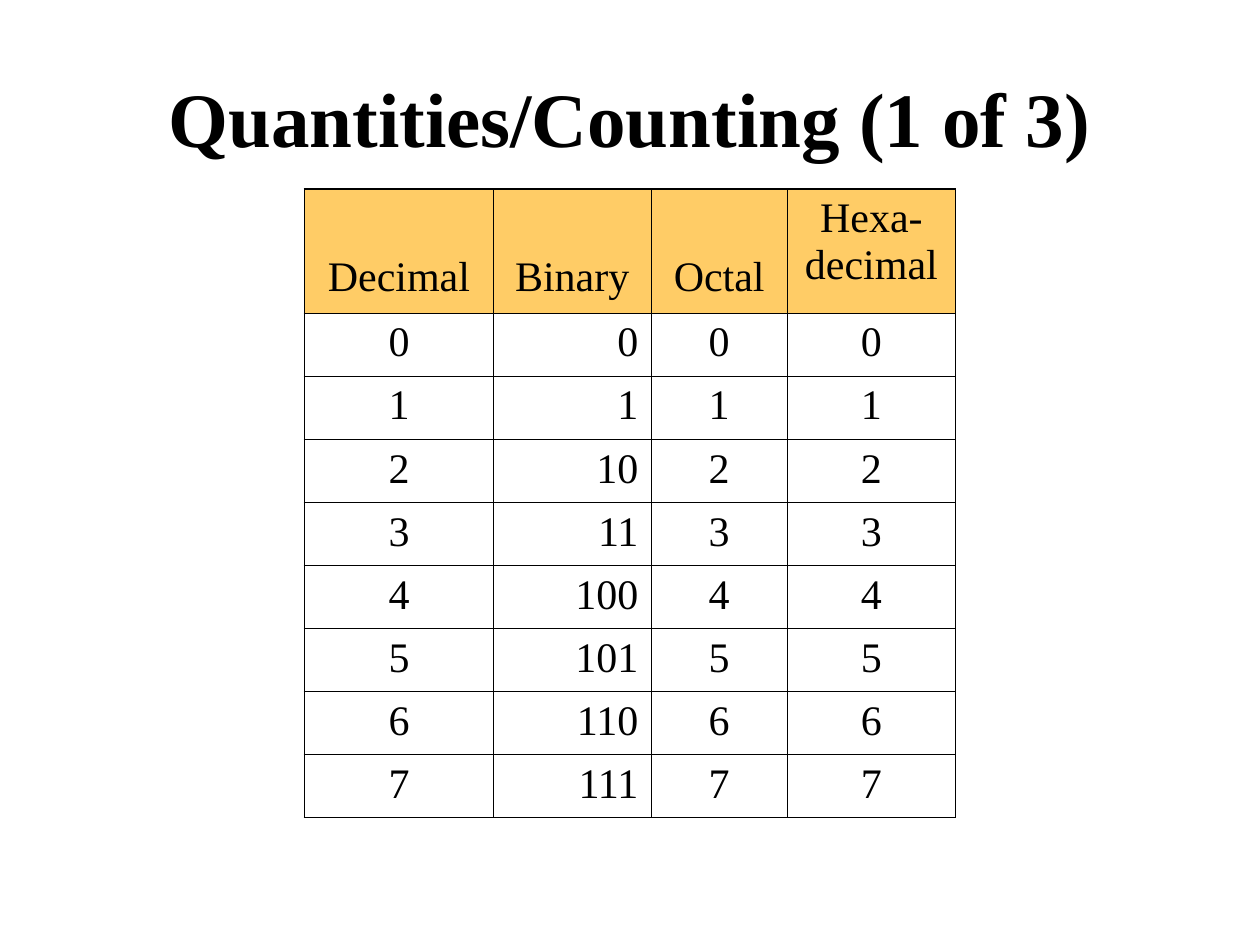
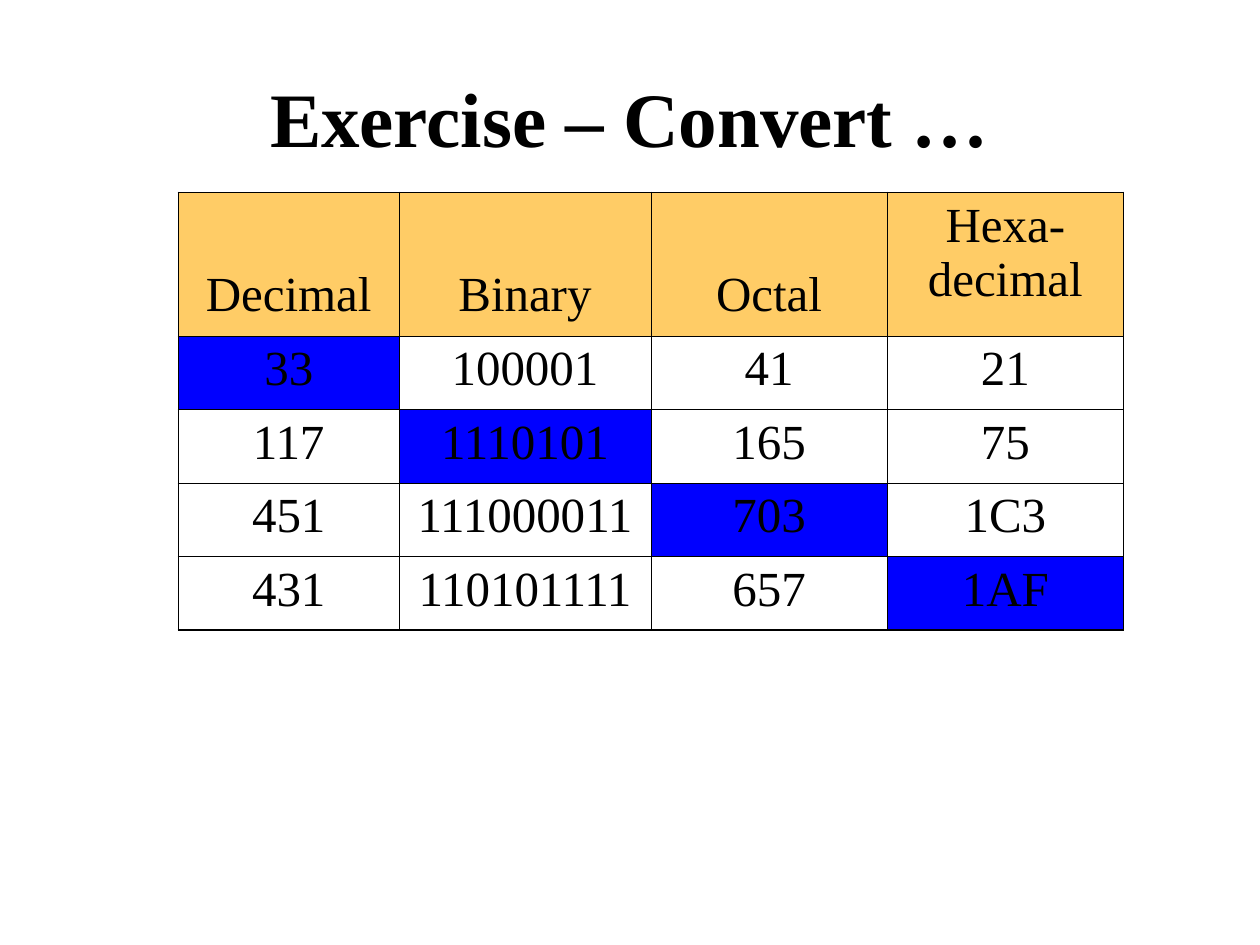
"""Two slides of number tables in decimal, binary, octal and hexadecimal."""
from lxml import etree
from pptx import Presentation
from pptx.dml.color import RGBColor
from pptx.enum.text import MSO_ANCHOR, PP_ALIGN
from pptx.oxml.ns import qn
from pptx.util import Pt

CENTER, RIGHT = PP_ALIGN.CENTER, PP_ALIGN.RIGHT
MIDDLE = MSO_ANCHOR.MIDDLE

FONT = "Times New Roman"
BLACK, GOLD, BLUE = "000000", "FFCC66", "0000FF"
THIN, THICK = 0.45, 1.08
INSET = 3.6
LINE_HEIGHT = 1.15
TITLE_BOX = (36, 21.6, 648, 90)
BASES = ("Decimal", "Binary", "Octal", "Hexa-\vdecimal")
FORMATS = ("d", "b", "o", "X")


def color(value):
    """Turn a hex string into a colour."""
    return RGBColor.from_string(value)


def write(frame, text, *, size, bold=False, align=CENTER):
    """Put one formatted paragraph into a text frame."""
    para = frame.paragraphs[0]
    para.text = text
    para.alignment = align
    for span in para.runs:
        span.font.name = FONT
        span.font.size = Pt(size)
        span.font.bold = bold
        span.font.color.rgb = color(BLACK)


def add_title(page, text, box):
    """Add the bold slide title, centred in its box."""
    frame = page.shapes.add_textbox(*map(Pt, box)).text_frame
    frame.word_wrap = True
    frame.vertical_anchor = MIDDLE
    write(frame, text, size=44, bold=True)


def set_border(cell, side, width):
    """Draw one black edge of a cell."""
    properties = cell._tc.get_or_add_tcPr()
    line = etree.SubElement(properties, qn(f"a:ln{side}"), w=str(Pt(width)))
    fill = etree.SubElement(line, qn("a:solidFill"))
    etree.SubElement(fill, qn("a:srgbClr"), val=BLACK)


def style_cell(cell, fill, outer_sides):
    """Give a cell its edges, thick on the table outline, and its fill."""
    for side in "LRTB":
        set_border(cell, side, THICK if side in outer_sides else THIN)
    if fill:
        cell.fill.solid()
        cell.fill.fore_color.rgb = color(fill)
    else:
        cell.fill.background()


def add_base_table(page, numbers, *, left, top, widths, header_height,
                   row_height, size, binary_align=CENTER, highlight=False):
    """Add a table that shows each number in the four bases."""
    rows = [BASES] + [[format(number, code) for code in FORMATS] for number in numbers]
    height = header_height + row_height * len(numbers)
    table = page.shapes.add_table(len(rows), len(BASES), Pt(left), Pt(top),
                                  Pt(sum(widths)), Pt(height)).table
    table.first_row = table.horz_banding = False
    for column, width in zip(table.columns, widths):
        column.width = Pt(width)
    for r, values in enumerate(rows):
        table.rows[r].height = Pt(row_height if r else header_height)
        for c, text in enumerate(values):
            cell = table.cell(r, c)
            outline = {"L": c == 0, "R": c == len(BASES) - 1,
                       "T": r == 0, "B": r == len(rows) - 1}
            given = highlight and r == c + 1
            fill = GOLD if r == 0 else BLUE if given else None
            style_cell(cell, fill, [side for side, outer in outline.items() if outer])
            lowered = r == 0 and "\v" not in text
            cell.margin_top = Pt(INSET + (size * (LINE_HEIGHT + 0.25) if lowered else 0))
            align = binary_align if r and c == 1 else CENTER
            write(cell.text_frame, text, size=size, align=align)


def main():
    """Build and save the deck."""
    deck = Presentation()
    deck.slide_width, deck.slide_height = Pt(720), Pt(540)
    blank = deck.slide_layouts[6]

    page = deck.slides.add_slide(blank)
    add_title(page, "Quantities/Counting (1 of 3)", TITLE_BOX)
    add_base_table(page, range(8), left=174, top=108, widths=(108, 90, 78, 96),
                   header_height=71, row_height=36, size=24, binary_align=RIGHT)

    page = deck.slides.add_slide(blank)
    add_title(page, "Exercise – Convert …", TITLE_BOX)
    add_base_table(page, (33, 117, 451, 431), left=102, top=110,
                   widths=(126, 144, 135, 135), header_height=82, row_height=42,
                   size=28, highlight=True)

    deck.save("out.pptx")


if __name__ == "__main__":
    main()
